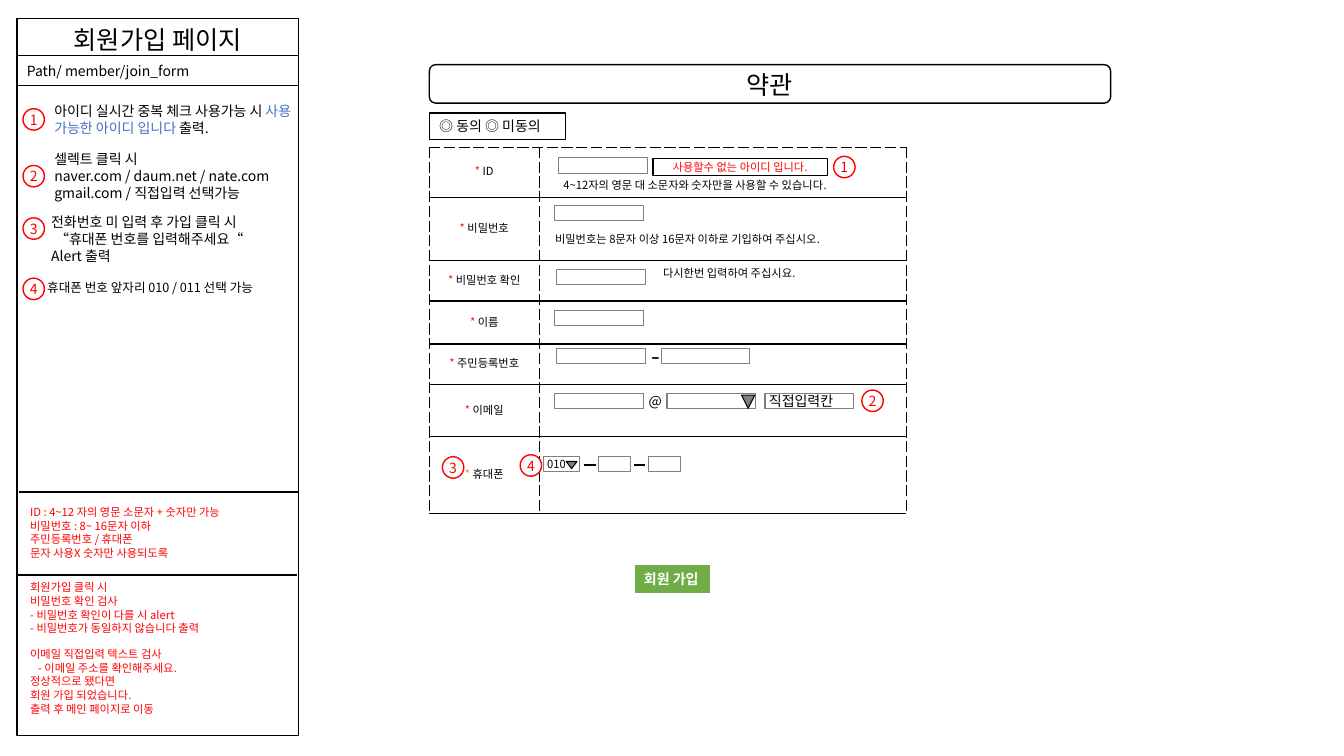
from lxml import etree
from pptx import Presentation
from pptx.dml.color import RGBColor
from pptx.enum.shapes import MSO_CONNECTOR, MSO_SHAPE as Preset
from pptx.enum.text import MSO_ANCHOR as Anchor, PP_ALIGN as Align
from pptx.oxml.ns import qn
from pptx.util import Cm, Pt

FONT = "Noto Sans CJK KR"
COLORS = {"black": "000000", "white": "FFFFFF", "red": "FF0000", "blue": "4472C4",
          "gray": "808080", "green": "70AD47", "star": "CC3300", "orange": "ED7D31"}
WIDE_INSETS = (0.25, 0.13)
TIGHT_INSETS = (0.1, 0.13)
FIELD_W, FIELD_H = 2.24, 0.38


def rgb(name):
    return RGBColor.from_string(COLORS[name])


def write(frame, paragraphs, size, color="black", align=Align.LEFT, anchor=Anchor.TOP,
          insets=WIDE_INSETS, wrap=True, bold=False):
    """Each paragraph is a string, or a list of (text, color) runs."""
    frame.word_wrap = wrap
    frame.vertical_anchor = anchor
    frame.margin_left = frame.margin_right = Cm(insets[0])
    frame.margin_top = frame.margin_bottom = Cm(insets[1])
    for index, content in enumerate(paragraphs):
        paragraph = frame.add_paragraph() if index else frame.paragraphs[0]
        paragraph.alignment = align
        paragraph.line_spacing = Pt(round(size * 1.21, 1))
        runs = [(content, color)] if isinstance(content, str) else content
        for text, run_color in runs:
            run = paragraph.add_run()
            run.text = text
            run.font.size = Pt(size)
            run.font.bold = bold
            run.font.color.rgb = rgb(run_color)
            run.font.name = FONT
            etree.SubElement(run._r.get_or_add_rPr(), qn("a:ea")).set("typeface", FONT)


def indent(paragraph, width):
    paragraph._p.get_or_add_pPr().set("marL", str(Cm(width)))


def add_text(slide, x, y, w, h, paragraphs, size, **style):
    frame = slide.shapes.add_textbox(Cm(x), Cm(y), Cm(w), Cm(h)).text_frame
    write(frame, paragraphs, size, **style)
    return frame


def add_box(slide, x, y, w, h, text="", size=10, preset=Preset.RECTANGLE,
            fill="white", line="black", weight=1, **style):
    box = slide.shapes.add_shape(preset, Cm(x), Cm(y), Cm(w), Cm(h))
    box.shadow.inherit = False
    if fill:
        box.fill.solid()
        box.fill.fore_color.rgb = rgb(fill)
    else:
        box.fill.background()
    box.line.color.rgb = rgb(line)
    box.line.width = Pt(weight)
    if text:
        write(box.text_frame, [text], size, anchor=Anchor.MIDDLE, **style)


def add_line(slide, x1, x2, y):
    line = slide.shapes.add_connector(MSO_CONNECTOR.STRAIGHT, Cm(x1), Cm(y), Cm(x2), Cm(y))
    line.line.color.rgb = rgb("black")
    line.line.width = Pt(1.5)
    etree.SubElement(line._element.spPr, qn("a:effectLst"))


def add_marker(slide, x, y, number):
    add_box(slide, x, y, 0.54, 0.54, str(number), preset=Preset.OVAL, line="red",
            color="red", align=Align.CENTER, insets=(0, 0))


def add_field(slide, x, y, w=FIELD_W, h=FIELD_H, text="", size=10):
    add_box(slide, x, y, w, h, text, size, fill=None, line="gray", weight=0.75,
            insets=TIGHT_INSETS)


def add_dropdown_arrow(slide, x, y, w, h):
    add_box(slide, x, y, w, h, preset=Preset.FLOWCHART_MERGE, fill="gray", weight=0.75)


def set_borders(cell, first_row):
    """Dashed sides, solid rules between rows, dashed top edge of the table."""
    properties = cell._tc.get_or_add_tcPr()
    dashed, solid = (0.25, "sysDash"), (1, "solid")
    edges = {"lnL": dashed, "lnR": dashed, "lnT": dashed if first_row else solid, "lnB": solid}
    for position, (edge, (weight, dash)) in enumerate(edges.items()):
        line = etree.Element(qn("a:" + edge), w=str(Pt(weight)))
        fill = etree.SubElement(line, qn("a:solidFill"))
        etree.SubElement(fill, qn("a:srgbClr")).set("val", COLORS["black"])
        etree.SubElement(line, qn("a:prstDash")).set("val", dash)
        properties.insert(position, line)


def draw_description_panel(slide, left, top, width):
    add_box(slide, left, top + 1.01, width, 17.07)
    add_box(slide, left, top, width, 1.04, "회원가입 페이지", 18, align=Align.CENTER)
    add_box(slide, left, top + 0.94, width, 0.76, "Path/ member/join_form")

    add_text(slide, left + 0.69, top + 2, 6.5, 1.12,
             [[("아이디 실시간 중복 체크 사용가능 시 ", "black"),
               ("사용 가능한 아이디 입니다 ", "blue"), ("출력.", "black")]], 10)
    add_text(slide, left + 0.69, top + 3.2, 7.37, 1.55,
             ["셀렉트 클릭 시",
              "naver.com / daum.net / nate.com gmail.com / 직접입력 선택가능"], 10)
    phone_alert = add_text(slide, left + 0.61, top + 4.8, 6.25, 1.55,
                           ["전화번호 미 입력 후 가입 클릭 시",
                            "“휴대폰 번호를 입력해주세요“", "Alert 출력"], 10)
    indent(phone_alert.paragraphs[1], 0.1)
    add_text(slide, left + 0.51, top + 6.47, 6.91, 0.64,
             ["휴대폰 번호 앞자리 010 / 011 선택 가능"], 9)
    for number, y in enumerate((2.28, 3.71, 5.03, 6.55), 1):
        add_marker(slide, left + 0.15, top + y, number)

    add_text(slide, left + 0.08, top + 12.14, 5.97, 2.9,
             ["ID : 4~12 자의 영문 소문자 + 숫자만 가능", "비밀번호 : 8~ 16문자 이하",
              "주민등록번호 / 휴대폰", "문자 사용X 숫자만 사용되도록"], 8, color="red")
    checks = add_text(slide, left + 0.08, top + 14.04, 6.96, 3.68,
                      ["회원가입 클릭 시", "비밀번호 확인 검사", "- 비밀번호 확인이 다를 시 alert",
                       "- 비밀번호가 동일하지 않습니다 출력", "이메일 직접입력 텍스트 검사",
                       "- 이메일 주소를 확인해주세요.", "정상적으로 됐다면",
                       "회원 가입 되었습니다.", "출력 후 메인 페이지로 이동"], 8, color="red")
    checks.paragraphs[4].space_before = Pt(9)
    indent(checks.paragraphs[5], 0.2)
    add_line(slide, left, left + width - 0.03, top + 14.04)
    add_line(slide, left + 0.05, left + width, top + 11.94)


def draw_terms(slide, left, top):
    add_box(slide, left, top, 17.17, 0.97, "약관", 18, preset=Preset.ROUNDED_RECTANGLE,
            align=Align.CENTER)
    add_box(slide, left, top + 1.22, 3.43, 0.66, "◎ 동의 ◎ 미동의")


def draw_form_table(slide, left, top):
    labels = ["ID", "비밀번호", "비밀번호 확인", "이름", "주민등록번호", "이메일", "휴대폰"]
    heights = [1.26, 1.6, 0.93, 1.08, 0.93, 1.32, 1.94]
    widths = [2.77, 9.25]
    table = slide.shapes.add_table(len(labels), 2, Cm(left), Cm(top),
                                   Cm(sum(widths)), Cm(sum(heights))).table
    table.first_row = table.horz_banding = False
    for column, width in zip(table.columns, widths):
        column.width = Cm(width)
    for index, (label, height) in enumerate(zip(labels, heights)):
        table.rows[index].height = Cm(height)
        star = "orange" if label == "휴대폰" else "star"
        contents = [[("* ", star), (label, "black")]], [""]
        for cell, paragraphs in zip(table.rows[index].cells, contents):
            write(cell.text_frame, paragraphs, 8, align=Align.CENTER)
            cell.vertical_anchor = Anchor.MIDDLE
            cell.margin_left = cell.margin_right = Cm(0.1)
            cell.fill.background()
            set_borders(cell, index == 0)


def draw_form_fields(slide, left, top):
    for x, y in ((3.15, 1.47), (3.2, 3.07), (3.15, 4.11), (3.2, 5.08),
                 (5.84, 5.08), (3.15, 6.2), (5.99, 6.2)):
        add_field(slide, left + x, top + y)
    add_field(slide, left + 3.25, top + 0.26, h=0.41)
    add_field(slide, left + 8.46, top + 6.2, text="직접입력칸")
    for x, width, prefix in ((2.87, 0.92, "010"), (4.27, 0.81, ""), (5.53, 0.81, "")):
        add_field(slide, left + x, top + 7.8, width, text=prefix, size=8)

    add_box(slide, left + 5.64, top + 0.28, 4.39, 0.43, "사용할수 없는 아이디 입니다.", 8,
            color="red", align=Align.CENTER, insets=TIGHT_INSETS, wrap=False)
    for x, y, w, hint in ((3.28, 0.66, 7.59, "4~12자의 영문 대 소문자와 숫자만을 사용할 수 있습니다."),
                          (3.07, 2.01, 7.62, "비밀번호는 8문자 이상 16문자 이하로 기입하여 주십시오."),
                          (5.79, 2.87, 5.79, "다시한번 입력하여 주십시요.")):
        add_text(slide, left + x, top + y, w, 0.58, [hint], 8, insets=TIGHT_INSETS)
    add_text(slide, left + 5.49, top + 4.72, 0.36, 0.56, ["-"], 18, insets=TIGHT_INSETS)
    add_text(slide, left + 5.28, top + 6.05, 0.58, 0.69, ["@"], 10)

    add_dropdown_arrow(slide, left + 7.87, top + 6.25, 0.33, 0.33)
    add_dropdown_arrow(slide, left + 3.45, top + 7.92, 0.27, 0.18)
    for start, end in ((3.89, 4.19), (5.16, 5.43)):
        add_line(slide, left + start, left + end, top + 8)
    for number, x, y in ((1, 10.19, 0.23), (2, 10.9, 6.12), (3, 0.33, 7.8), (4, 2.29, 7.75)):
        add_marker(slide, left + x, top + y, number)


def draw_join_button(slide, left, top):
    add_box(slide, left, top, 1.93, 0.76, "회원 가입", fill="green", line="white",
            weight=1.5, color="white", bold=True, wrap=False)


def main():
    deck = Presentation()
    deck.slide_width, deck.slide_height = Cm(33.87), Cm(19.05)
    slide = deck.slides.add_slide(deck.slide_layouts[6])
    form_left, form_top = 10.82, 3.71
    draw_description_panel(slide, 0.43, 0.46, 7.09)
    draw_terms(slide, form_left, 1.63)
    draw_form_table(slide, form_left, form_top)
    draw_form_fields(slide, form_left, form_top)
    draw_join_button(slide, form_left + 5.16, form_top + 10.49)
    deck.save("out.pptx")


if __name__ == "__main__":
    main()
